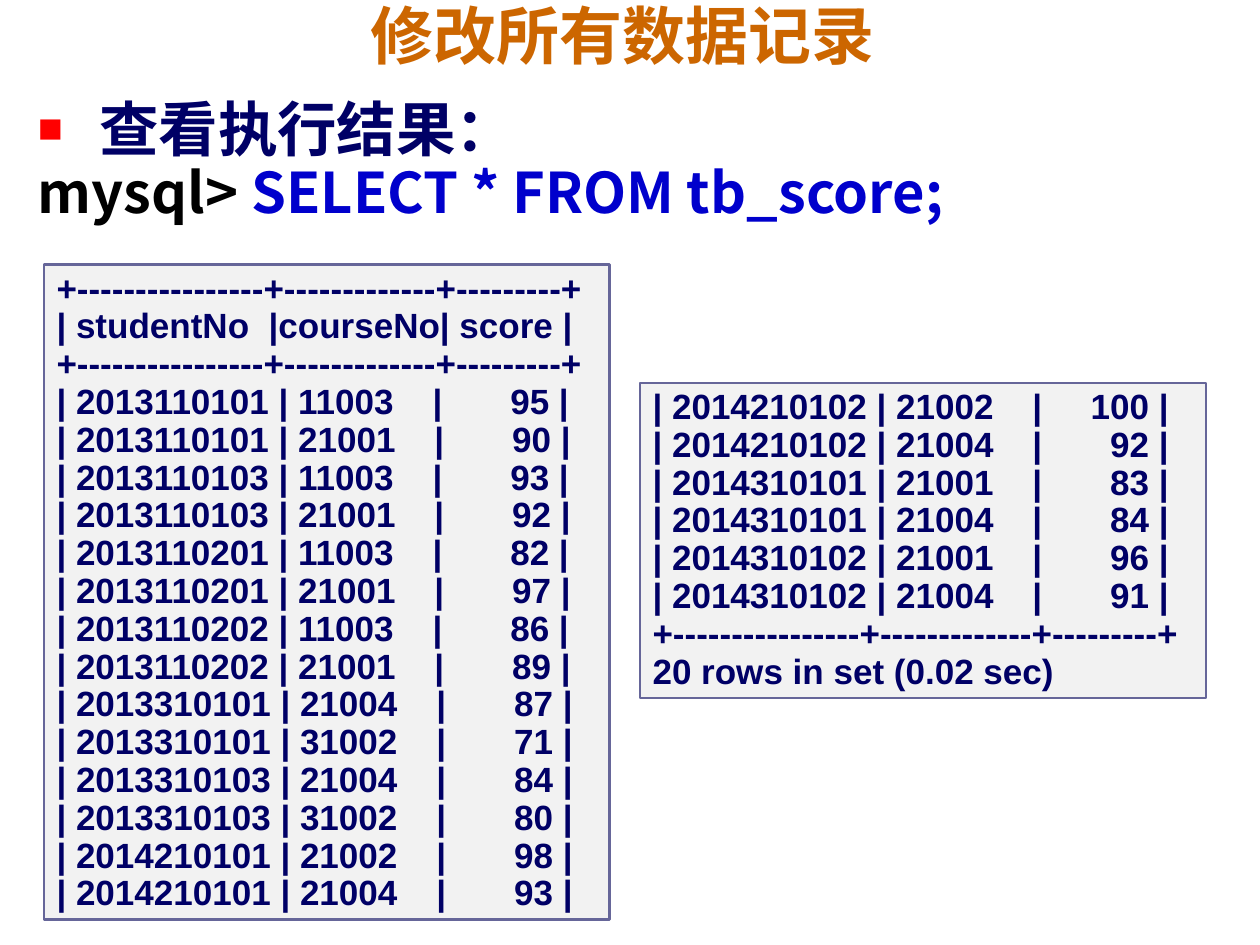
"""Build the slide that shows the result of a table query."""
from lxml import etree
from pptx import Presentation
from pptx.dml.color import RGBColor
from pptx.enum.shapes import MSO_SHAPE
from pptx.enum.text import MSO_ANCHOR, MSO_AUTO_SIZE, PP_ALIGN
from pptx.oxml.ns import qn
from pptx.util import Pt

RECT = MSO_SHAPE.RECTANGLE
TOP, MIDDLE = MSO_ANCHOR.TOP, MSO_ANCHOR.MIDDLE
FIXED, GROW = MSO_AUTO_SIZE.NONE, MSO_AUTO_SIZE.SHAPE_TO_FIT_TEXT
LEFT, CENTER = PP_ALIGN.LEFT, PP_ALIGN.CENTER
CJK = "Noto Sans CJK SC"
NAVY = "000066"


def paint(target, color):
    target.rgb = RGBColor.from_string(color)


def style(para, face, size, color, space, align=LEFT):
    para.alignment = align
    para.line_spacing = space
    para.space_before = Pt(0)
    font = para.font
    font.name, font.size, font.bold = face, Pt(size), True
    paint(font.fill.fore_color if font.fill.solid() else font.color, color)
    latin = para._p.pPr.find(qn("a:defRPr")).find(qn("a:latin"))
    latin.addnext(etree.Element(qn("a:ea"), typeface=face))


RULE = "+----------------+-------------+---------+"
FIRST = f"""{RULE}
| studentNo  |courseNo| score |
{RULE}
| 2013110101 | 11003    |       95 |
| 2013110101 | 21001    |       90 |
| 2013110103 | 11003    |       93 |
| 2013110103 | 21001    |       92 |
| 2013110201 | 11003    |       82 |
| 2013110201 | 21001    |       97 |
| 2013110202 | 11003    |       86 |
| 2013110202 | 21001    |       89 |
| 2013310101 | 21004    |       87 |
| 2013310101 | 31002    |       71 |
| 2013310103 | 21004    |       84 |
| 2013310103 | 31002    |       80 |
| 2014210101 | 21002    |       98 |
| 2014210101 | 21004    |       93 |"""
SECOND = f"""| 2014210102 | 21002    |     100 |
| 2014210102 | 21004    |       92 |
| 2014310101 | 21001    |       83 |
| 2014310101 | 21004    |       84 |
| 2014310102 | 21001    |       96 |
| 2014310102 | 21004    |       91 |
{RULE}
20 rows in set (0.02 sec)"""

deck = Presentation()
deck.slide_width, deck.slide_height = Pt(720), Pt(540)
slide = deck.slides.add_slide(deck.slide_layouts[1])

title, body = slide.placeholders
title.left, title.top, title.width, title.height = Pt(19.4), Pt(3.6), Pt(680.4), Pt(39.6)
frame = title.text_frame
frame.margin_left = frame.margin_right = frame.margin_top = frame.margin_bottom = 0
frame.vertical_anchor, frame.auto_size = MIDDLE, FIXED
frame.text = "修改所有数据记录 "
style(frame.paragraphs[0], CJK, 36, "CC6600", 0.8, CENTER)

body.left, body.top, body.width, body.height = Pt(14.4), Pt(49), Pt(692), Pt(476)
frame = body.text_frame
frame.vertical_anchor, frame.auto_size = TOP, FIXED
frame.text = " 查看执行结果："
head = frame.paragraphs[0]
query = frame.add_paragraph()
for text, color in (("mysql>", "000000"), (" SELECT * FROM tb_score;", "0000CC")):
    run = query.add_run()
    run.text = text
    paint(run.font.color, color)
for para in (head, query):
    props = para._p.get_or_add_pPr()
    props.set("marL", str(Pt(27.4)))
    props.set("indent", str(-Pt(27.4)))
props = head._p.pPr
tint = etree.SubElement(props, qn("a:buClr"))
etree.SubElement(tint, qn("a:srgbClr"), val="FF0000")
etree.SubElement(props, qn("a:buSzPct"), val="70000")
etree.SubElement(props, qn("a:buFont"), typeface="Arial")
etree.SubElement(props, qn("a:buChar"), char="■")
etree.SubElement(query._p.pPr, qn("a:buNone"))
style(head, CJK, 34, NAVY, 1.0)
style(query, CJK, 32, "0000CC", 0.93)

for left, top, height, text in ((25.2, 151.2, 374.4, FIRST), (365.8, 218.9, 180, SECOND)):
    box = slide.shapes.add_shape(RECT, Pt(left), Pt(top), Pt(323.3), Pt(height))
    box.shadow.inherit = False
    box.fill.solid()
    paint(box.fill.fore_color, "F2F2F2")
    paint(box.line.color, "666699")
    box.line.width = Pt(1.5)
    frame = box.text_frame
    frame.word_wrap, frame.auto_size, frame.vertical_anchor = True, GROW, TOP
    frame.text = text
    for para in frame.paragraphs:
        style(para, "Arial", 20, NAVY, 0.9)

deck.save("out.pptx")
